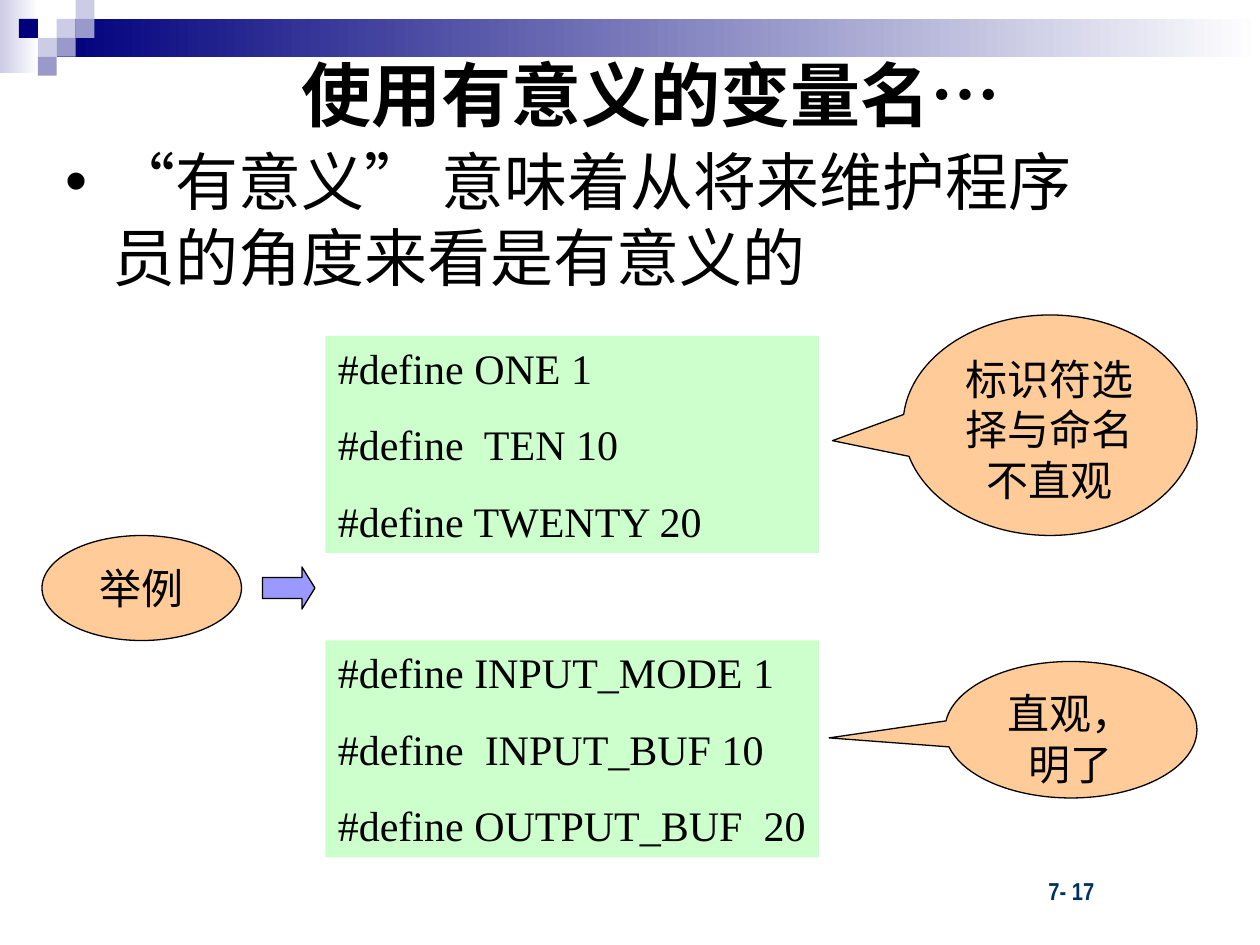
from lxml.etree import SubElement
from pptx import Presentation
from pptx.dml.color import RGBColor
from pptx.enum.shapes import MSO_SHAPE as Shape
from pptx.enum.text import MSO_ANCHOR as Anchor, MSO_AUTO_SIZE as AutoSize, PP_ALIGN as Align
from pptx.oxml.ns import qn
from pptx.util import Pt

BLACK = RGBColor(0x00, 0x00, 0x00)
WHITE = RGBColor(0xFF, 0xFF, 0xFF)
NAVY = RGBColor(0x00, 0x00, 0x7D)
LAVENDER = RGBColor(0xCC, 0xCC, 0xE6)
VIOLET = RGBColor(0x99, 0x99, 0xCC)
ARROW_BLUE = RGBColor(0x99, 0x99, 0xFF)
PEACH = RGBColor(0xFF, 0xCC, 0x99)
MINT = RGBColor(0xCC, 0xFF, 0xCC)
PAGE_BLUE = RGBColor(0x00, 0x31, 0x62)
SERIF = "Times New Roman"
TILE = 10.8


def place(shape, box):
    """Move and size a shape to a (left, top, width, height) box in points."""
    shape.left, shape.top, shape.width, shape.height = map(Pt, box)


def write(shape, lines, size, name, align=Align.LEFT, anchor=Anchor.TOP,
          color=BLACK, bold=False, gap=0, wrap=True):
    """Fill a shape with evenly formatted paragraphs."""
    frame = shape.text_frame
    frame.text = "\n".join(lines)
    frame.auto_size = AutoSize.NONE
    frame.word_wrap = wrap
    frame.vertical_anchor = anchor
    for index, paragraph in enumerate(frame.paragraphs):
        paragraph.alignment = align
        paragraph.space_before = Pt(gap if index else 0)
        font = paragraph.font
        font.size, font.name, font.bold = Pt(size), name, bold
        font.color.rgb = color


def add_figure(slide, kind, box, fill, outlined=False, adjustments=()):
    """Add a flat preset shape with an optional thin black outline."""
    shape = slide.shapes.add_shape(kind, *map(Pt, box))
    shape.shadow.inherit = False
    shape.fill.solid()
    shape.fill.fore_color.rgb = fill
    if outlined:
        shape.line.color.rgb = BLACK
        shape.line.width = Pt(0.75)
    else:
        shape.line.fill.background()
    for index, value in enumerate(adjustments):
        shape.adjustments[index] = value
    return shape


def add_fading_bar(slide, box, color):
    """Add a bar that fades to white from left to right."""
    fill = add_figure(slide, Shape.RECTANGLE, box, color).fill
    fill.gradient()
    fill.gradient_angle = 0
    for stop, shade in zip(fill.gradient_stops, (color, WHITE)):
        stop.color.rgb = shade


def add_banner(slide):
    """Add the fading bars and the mosaic of tiles at the top."""
    add_fading_bar(slide, (0, 0, 22, 42), LAVENDER)
    add_fading_bar(slide, (3 * TILE, TILE, 720 - 3 * TILE, 21.6), NAVY)
    tiles = ((3, 1, LAVENDER), (4, 0, LAVENDER), (4, 1, VIOLET), (2, 2, LAVENDER),
             (1, 1, NAVY), (3, 2, VIOLET), (2, 3, VIOLET))
    for column, row, color in tiles:
        add_figure(slide, Shape.RECTANGLE, (column * TILE, row * TILE, TILE, TILE), color)


def add_bullet(paragraph):
    """Give a paragraph a hanging square bullet."""
    properties = paragraph._p.get_or_add_pPr()
    properties.set("marL", str(Pt(27)))
    properties.set("indent", str(Pt(-27)))
    SubElement(SubElement(properties, qn("a:buClr")), qn("a:srgbClr"), val=str(NAVY))
    SubElement(properties, qn("a:buSzPct"), val="75000")
    SubElement(properties, qn("a:buFont"), typeface="Arial")
    SubElement(properties, qn("a:buChar"), char="■")


def add_code(slide, top, lines):
    """Add a green panel of code lines."""
    panel = add_figure(slide, Shape.RECTANGLE, (186, top, 282, 124), MINT)
    write(panel, lines, 24, SERIF, gap=15)


def add_callout(slide, box, tip, text):
    """Add an elliptical comment whose tail ends at tip."""
    callout = add_figure(slide, Shape.OVAL_CALLOUT, box, PEACH, True, tip)
    write(callout, [text], 24, SERIF, Align.CENTER)


def add_page_number(slide):
    """Add the page number at the bottom right."""
    number = slide.shapes.add_textbox(Pt(592), Pt(497), Pt(82), Pt(24))
    write(number, ["7- 17"], 14, "Arial Narrow", color=PAGE_BLUE, bold=True)


def main():
    """Build the slide and save it."""
    presentation = Presentation()
    presentation.slide_width, presentation.slide_height = Pt(720), Pt(540)
    slide = presentation.slides.add_slide(presentation.slide_layouts[1])
    add_banner(slide)
    add_page_number(slide)

    title, body = slide.placeholders
    place(title, (24, 26, 696, 54))
    write(title, ["使用有意义的变量名…"], 40, "Arial", Align.CENTER, bold=True)
    place(body, (30, 78, 601, 207))
    add_bullet(body.text_frame.paragraphs[0])
    write(body, ["“有意义” 意味着从将来维护程序员的角度来看是有意义的"], 36, "Arial")

    example = add_figure(slide, Shape.OVAL, (24, 306, 114, 60), PEACH, True)
    write(example, ["举例"], 24, SERIF, Align.CENTER, Anchor.MIDDLE, wrap=False)
    add_code(slide, 192, ["#define ONE 1", "#define  TEN 10", "#define TWENTY 20"])
    add_code(slide, 366, ["#define INPUT_MODE 1", "#define  INPUT_BUF 10",
                          "#define OUTPUT_BUF  20"])
    add_callout(slide, (516, 180, 168, 126), (-0.74, 0.07), "标识符选择与命名不直观")
    add_callout(slide, (540, 378, 144, 78), (-0.96, 0.06), "直观，明了")
    add_figure(slide, Shape.RIGHT_ARROW, (150, 324, 30, 24), ARROW_BLUE, True, (0.5, 0.31))
    presentation.save("out.pptx")


if __name__ == "__main__":
    main()
